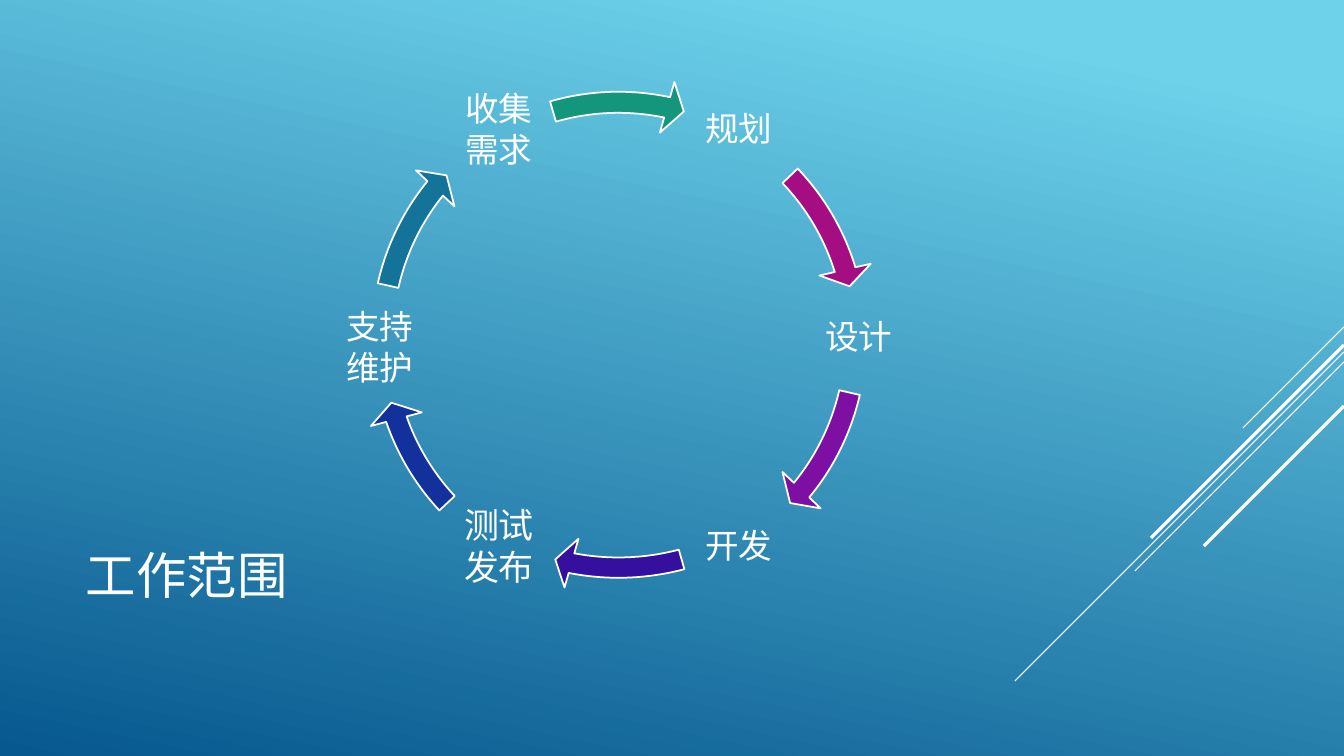
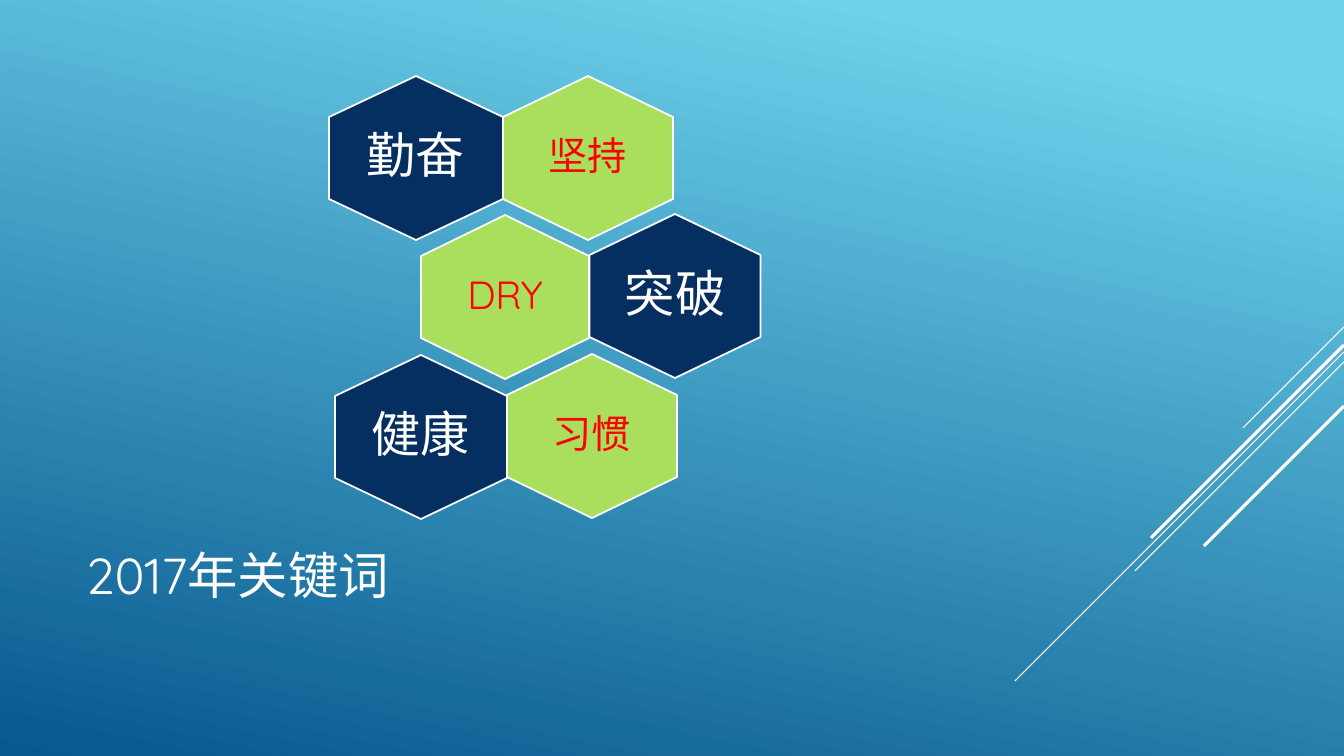
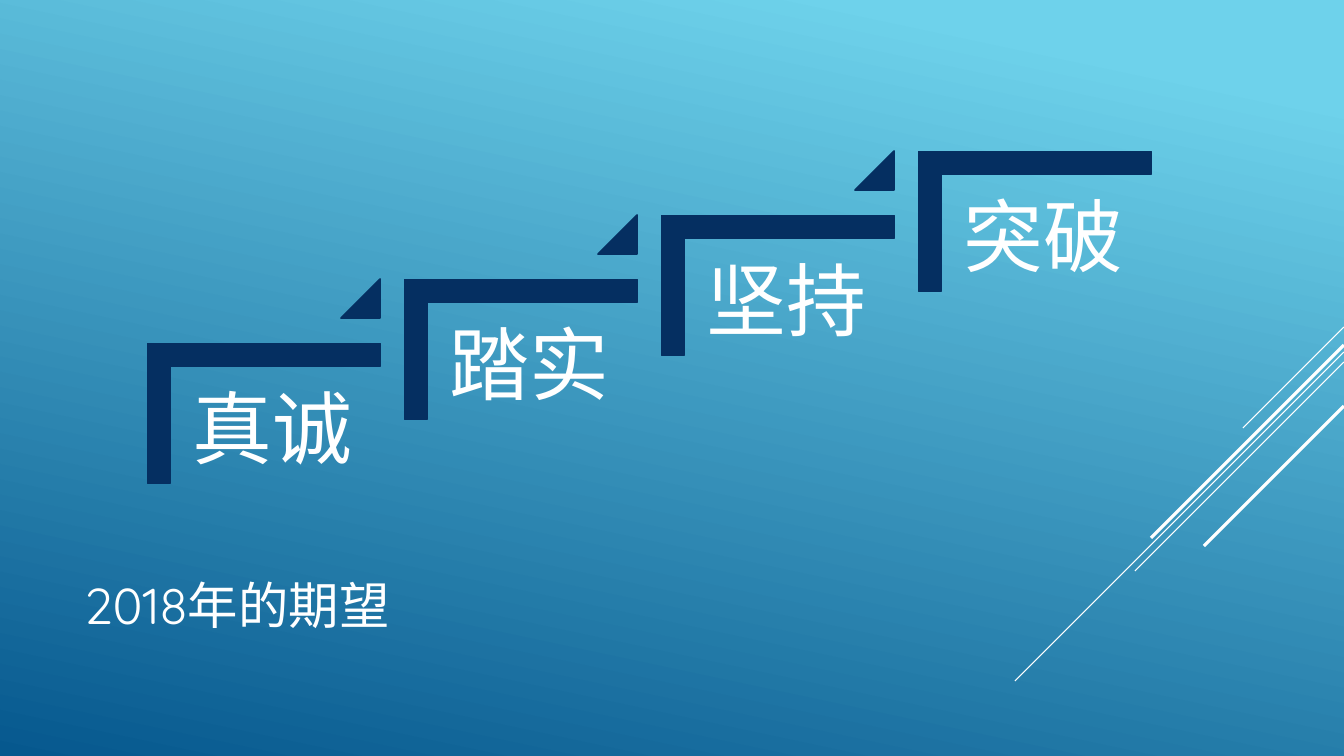
from lxml.etree import SubElement
from pptx import Presentation
from pptx.dml.color import RGBColor
from pptx.enum.shapes import MSO_CONNECTOR, MSO_SHAPE
from pptx.enum.text import MSO_ANCHOR, PP_ALIGN
from pptx.oxml.ns import qn
from pptx.util import Pt

PX = 914400 / 100.8
WIDTH, HEIGHT = 1344, 756
FONT = "Quicksand"
COLORS = {
    "sky": "6ED2EB", "deep": "06588E", "white": "FFFFFF", "red": "FF0000",
    "navy": "052F61", "lime": "AADF5E", "magenta": "A50E82",
    "purple": "7D0FA2", "indigo": "35109F", "blue": "12319C",
    "teal": "137399", "green": "14967C",
}
RGB = {name: RGBColor.from_string(value) for name, value in COLORS.items()}


def write(sp, lines, size, color="white", align=PP_ALIGN.CENTER,
          anchor=MSO_ANCHOR.MIDDLE, inset=0):
    """Fill a text shape with one paragraph for each line."""
    tf = sp.text_frame
    margin = int(inset * PX)
    frame = {"word_wrap": True, "vertical_anchor": anchor,
             "margin_left": margin, "margin_right": margin,
             "margin_top": margin, "margin_bottom": margin}
    for name, value in frame.items():
        setattr(tf, name, value)
    for i, line in enumerate(lines):
        p = tf.add_paragraph() if i else tf.paragraphs[0]
        for name, value in {"alignment": align, "line_spacing": 0.9,
                            "space_after": Pt(3)}.items():
            setattr(p, name, value)
        r = p.add_run()
        r.text = line
        for name, value in {"name": FONT, "size": Pt(size)}.items():
            setattr(r.font, name, value)
        r.font.color.rgb = RGB[color]


def draw(s, kind, box, color, line="white", rotation=0, adjust=()):
    """Add a flat preset shape in a pixel box."""
    sp = s.shapes.add_shape(kind, *[int(v * PX) for v in box])
    sp.shadow.inherit = False
    sp.rotation = rotation
    for i, value in enumerate(adjust):
        sp.adjustments[i] = value
    sp.fill.solid()
    sp.fill.fore_color.rgb = RGB[color]
    sp.line.color.rgb = RGB[line]
    sp.line.width = Pt(1.25)


prs = Presentation()
prs.slide_width, prs.slide_height = int(WIDTH * PX), int(HEIGHT * PX)

# Shared background, diagonal lines and titles
fill = prs.slide_master.background.fill
fill.gradient()
fill.gradient_angle = 258
for stop, (position, color) in zip(fill.gradient_stops,
                                   [(0.1, "sky"), (1, "deep")]):
    stop.position = position
    stop.color.rgb = RGB[color]

DIAGONALS = [  # start y on the right edge, run, line width
    (327, 101, 0.75), (352, 329, 0.75), (362, 209, 0.75),
    (345, 193, 2.25), (406, 140, 2.25),
]
TITLES = [("工作范围", 76, 495), ("2017年关键词", 76, 495),
          ("2018年的期望", 74, 525)]
for title, left, top in TITLES:
    s = prs.slides.add_slide(prs.slide_layouts[5])
    for y, run, width in DIAGONALS:
        ends = WIDTH, y, WIDTH - run, y + run
        line = s.shapes.add_connector(MSO_CONNECTOR.STRAIGHT,
                                      *[int(v * PX) for v in ends])
        line.line.color.rgb = RGB["white"]
        line.line.width = Pt(width)
        SubElement(line._element.spPr, qn("a:effectLst"))
    sp = s.shapes.title
    for name, value in {"left": left, "top": top,
                        "width": 940, "height": 166}.items():
        setattr(sp, name, int(value * PX))
    write(sp, [title], 36, align=PP_ALIGN.LEFT, inset=10)
cycle, keywords, hopes = prs.slides

# Work cycle: label lines, label corner, size, arrow box, arrow angles, colour
LABEL = 108
STAGES = [
    (["规划"], (685, 77), 24, (355, 76, 527, 527), (205.73, 189.83), "magenta"),
    (["设计"], (805, 285), 24, (355, 76, 527, 527), (23.67, 7.77), "purple"),
    (["开发"], (685, 494), 24, (355, 86, 527, 507), (61.11, 44.39), "indigo"),
    (["测试", "发布"], (445, 494), 25, (357, 78, 527, 527), (96.52, 82.19), "blue"),
    (["支持", "维护"], (326, 295), 24, (356, 74, 528, 527), (131.34, 115.57), "teal"),
    (["收集", "需求"], (445, 77), 24, (355, 76, 527, 527), (169.11, 152.39), "green"),
]
for lines, corner, size, box, (head, tail), color in STAGES:
    sp = cycle.shapes.add_textbox(*[int(v * PX) for v in (*corner, LABEL, LABEL)])
    write(sp, lines, size, inset=3)
    draw(cycle, MSO_SHAPE.CIRCULAR_ARROW, box, color,
         adjust=(0.04, 2.5, head, tail, 0.05))

# Keyword honeycomb: word, centre, width, size, fill, text colour
HEX_HEIGHT, WORD = 164, 114
HEXAGONS = [
    ("坚持", 588, 158, 170, 28, "lime", "red"),
    ("勤奋", 416, 158, 174, 35, "navy", "white"),
    ("DRY", 505, 297, 168, 28, "lime", "red"),
    ("突破", 675, 296, 171, 36, "navy", "white"),
    ("习惯", 592, 436, 170, 28, "lime", "red"),
    ("健康", 421, 437, 172, 35, "navy", "white"),
]
for word, x, y, width, size, color, ink in HEXAGONS:
    draw(keywords, MSO_SHAPE.HEXAGON,
         (x - HEX_HEIGHT / 2, y - width / 2, HEX_HEIGHT, width),
         color, rotation=90)
    box = x - WORD / 2, y - WORD / 2, WORD, WORD
    sp = keywords.shapes.add_textbox(*[int(v * PX) for v in box])
    write(sp, [word], size, ink)

# Rising steps, with a triangle between neighbours
STEPS = ["真诚", "踏实", "坚持", "突破"]
for i, word in enumerate(STEPS):
    x, y = 194 + 257 * i, 297 - 64 * i
    draw(hopes, MSO_SHAPE.CORNER, (x, y, 140, 233), "navy", "navy",
         rotation=90, adjust=(0.16, 0.16))
    box = x - 25, y + 69, 210, 184
    sp = hopes.shapes.add_textbox(*[int(v * PX) for v in box])
    write(sp, [word], 57, align=PP_ALIGN.LEFT, anchor=MSO_ANCHOR.TOP, inset=24)
    if i < len(STEPS) - 1:
        draw(hopes, MSO_SHAPE.ISOSCELES_TRIANGLE, (x + 147, y - 18, 39, 39),
             "navy", "navy", adjust=(1,))

prs.save("out.pptx")
